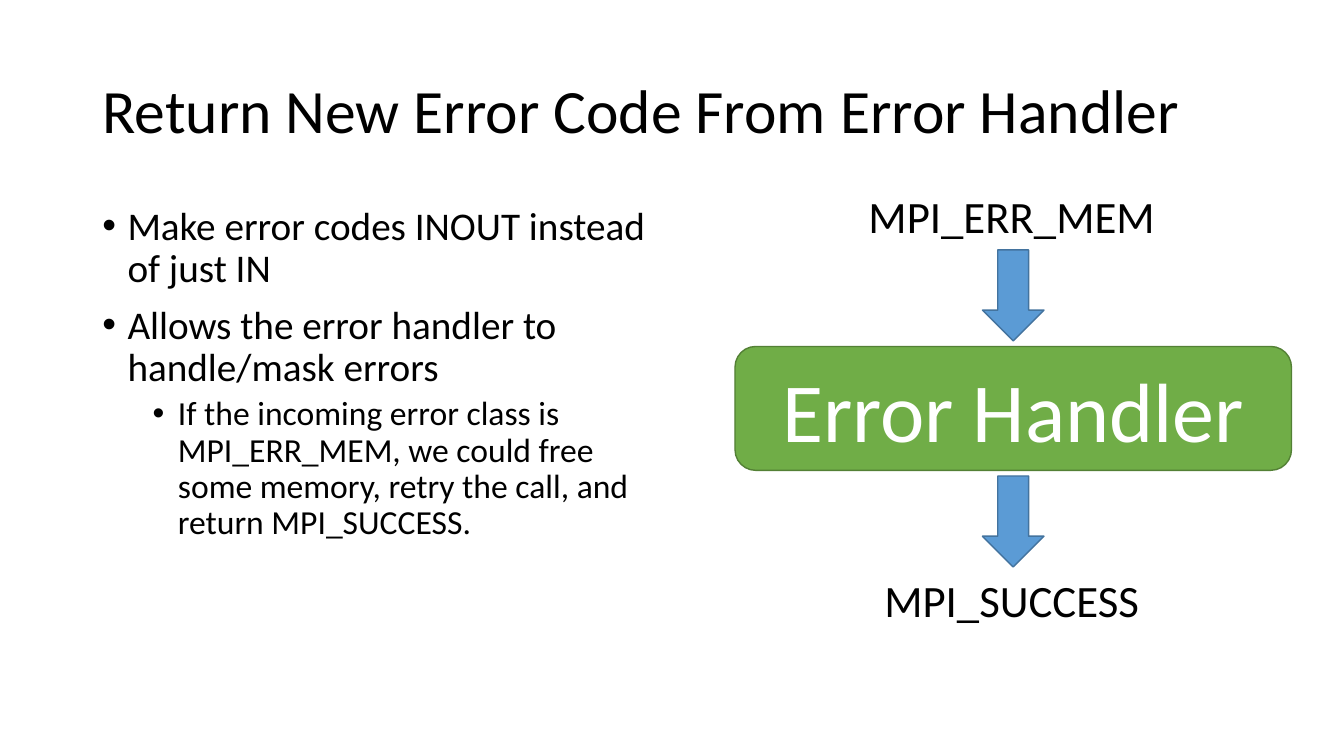
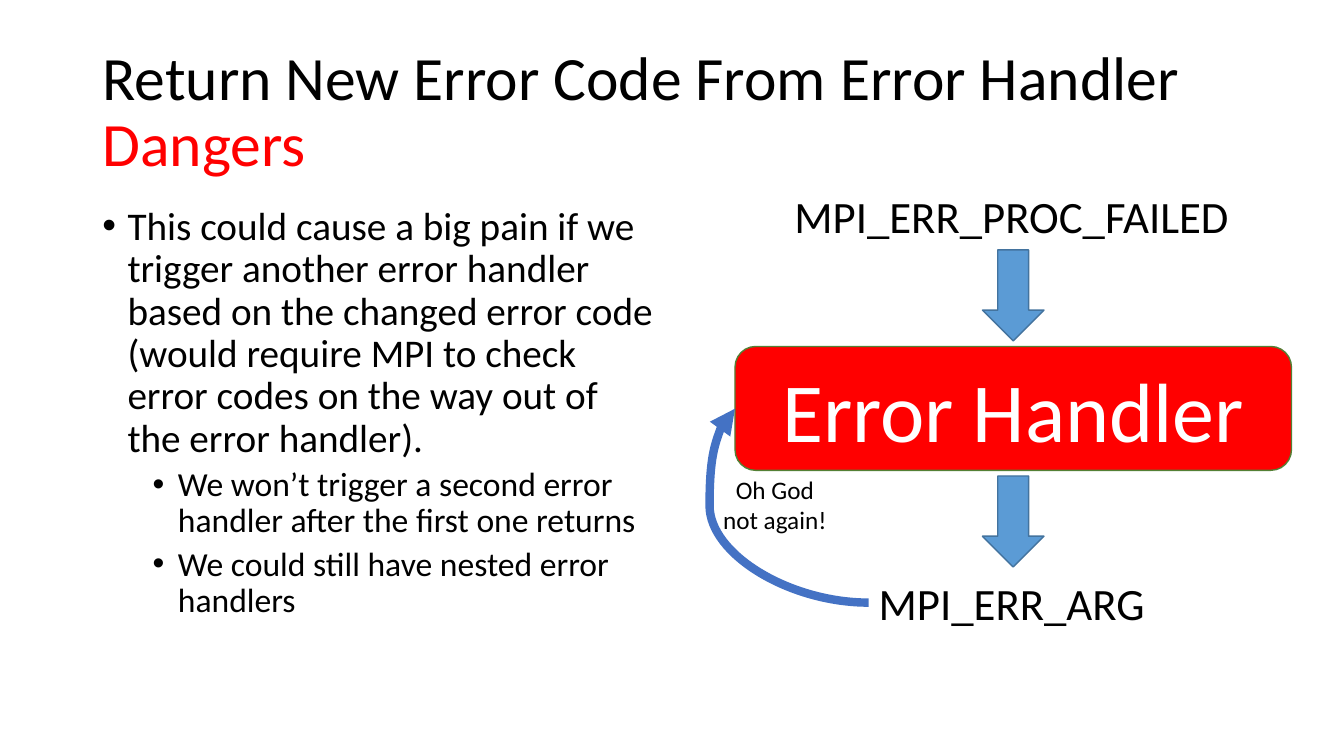
from dataclasses import dataclass

from lxml import etree
from pptx import Presentation
from pptx.dml.color import RGBColor
from pptx.enum.shapes import MSO_CONNECTOR, MSO_SHAPE
from pptx.enum.text import MSO_ANCHOR, PP_ALIGN
from pptx.oxml.ns import qn
from pptx.util import Pt

LEFT, CENTER = PP_ALIGN.LEFT, PP_ALIGN.CENTER
TOP, MIDDLE = MSO_ANCHOR.TOP, MSO_ANCHOR.MIDDLE
ROUNDED, DOWN_ARROW = MSO_SHAPE.ROUNDED_RECTANGLE, MSO_SHAPE.DOWN_ARROW
CURVE = MSO_CONNECTOR.CURVE
TITLE_ONLY = 5


@dataclass(frozen=True)
class Theme:
    font: str = "Calibri"
    text: RGBColor = RGBColor(0x00, 0x00, 0x00)
    white: RGBColor = RGBColor(0xFF, 0xFF, 0xFF)
    danger: RGBColor = RGBColor(0xFF, 0x00, 0x00)
    handler: RGBColor = RGBColor(0x70, 0xAD, 0x47)
    handler_line: RGBColor = RGBColor(0x53, 0x80, 0x35)
    arrow: RGBColor = RGBColor(0x5B, 0x9B, 0xD5)
    arrow_line: RGBColor = RGBColor(0x43, 0x73, 0x9E)
    loop: RGBColor = RGBColor(0x44, 0x72, 0xC4)
    title_size: int = 44
    bullet_sizes: tuple = (28, 24)
    bullet_gaps: tuple = (10, 5)
    bullet_indents: tuple = (18, 54)
    handler_size: int = 60
    label_size: int = 32
    remark_size: int = 18


THEME = Theme()

# Shared layout, in points
MARGIN = 66
HANDLER_LEFT, HANDLER_TOP, HANDLER_WIDTH, HANDLER_HEIGHT = 525, 247.5, 397.5, 88.5
FLOW_CENTER = HANDLER_LEFT + HANDLER_WIDTH / 2
ARROW_WIDTH, ARROW_HEIGHT, ARROW_GAP = 44, 65, 4
LABEL_WIDTH, LABEL_HEIGHT = 340, 46


def format_paragraph(paragraph, size, color=THEME.text, align=LEFT):
    paragraph.alignment = align
    font = paragraph.font
    font.name, font.size = THEME.font, Pt(size)
    font.color.rgb = color


def add_title(slide, text, warning=None):
    title = slide.shapes.title
    title.left, title.top = Pt(MARGIN), Pt(28.75)
    title.width, title.height = Pt(828), Pt(104.4)
    title.text_frame.vertical_anchor = MIDDLE
    paragraph = title.text_frame.paragraphs[0]
    paragraph.line_spacing = 0.9
    paragraph.add_run().text = text
    if warning:
        paragraph.add_line_break()
        run = paragraph.add_run()
        run.text = warning
        run.font.color.rgb = THEME.danger
    format_paragraph(paragraph, THEME.title_size)


def add_text(slide, left, top, width, height, lines, size, align=CENTER):
    frame = slide.shapes.add_textbox(Pt(left), Pt(top), Pt(width), Pt(height)).text_frame
    frame.word_wrap = True
    frame.vertical_anchor = TOP
    frame.text = "\n".join(lines)
    for paragraph in frame.paragraphs:
        format_paragraph(paragraph, size, align=align)


def add_bullets(slide, items):
    """Each item is a pair of outline level and text."""
    frame = slide.shapes.add_textbox(Pt(MARGIN), Pt(144), Pt(408), Pt(342.5)).text_frame
    frame.word_wrap = True
    for index, (level, text) in enumerate(items):
        paragraph = frame.add_paragraph() if index else frame.paragraphs[0]
        paragraph.text = text
        paragraph.level = level
        paragraph.line_spacing = 0.9
        paragraph.space_before = Pt(THEME.bullet_gaps[level] if index else 0)
        properties = paragraph._p.get_or_add_pPr()
        properties.set("marL", str(Pt(THEME.bullet_indents[level])))
        properties.set("indent", str(Pt(-18)))
        etree.SubElement(properties, qn("a:buFont"), typeface="Arial")
        etree.SubElement(properties, qn("a:buChar"), char="•")
        format_paragraph(paragraph, THEME.bullet_sizes[level])


def add_block(slide, preset, left, top, width, height, fill, line):
    shape = slide.shapes.add_shape(preset, Pt(left), Pt(top), Pt(width), Pt(height))
    shape.shadow.inherit = False
    shape.fill.solid()
    shape.fill.fore_color.rgb = fill
    shape.line.color.rgb = line
    shape.line.width = Pt(1)
    return shape


def add_flow(slide, incoming, outgoing, handler_color, outgoing_top):
    """Draw an error code passing through the handler, from top to bottom."""
    handler = add_block(slide, ROUNDED, HANDLER_LEFT, HANDLER_TOP, HANDLER_WIDTH,
                        HANDLER_HEIGHT, handler_color, THEME.handler_line)
    handler.text_frame.vertical_anchor = MIDDLE
    handler.text_frame.text = "Error Handler"
    format_paragraph(handler.text_frame.paragraphs[0], THEME.handler_size, THEME.white, CENTER)

    for top in (HANDLER_TOP - ARROW_GAP - ARROW_HEIGHT,
                HANDLER_TOP + HANDLER_HEIGHT + ARROW_GAP):
        add_block(slide, DOWN_ARROW, FLOW_CENTER - ARROW_WIDTH / 2, top,
                  ARROW_WIDTH, ARROW_HEIGHT, THEME.arrow, THEME.arrow_line)

    for text, top in ((incoming, 131), (outgoing, outgoing_top)):
        add_text(slide, FLOW_CENTER - 1 - LABEL_WIDTH / 2, top, LABEL_WIDTH,
                 LABEL_HEIGHT, [text], THEME.label_size)


def add_loop_arrow(slide, begin_x, begin_y, end_x, end_y, bulge):
    """Draw a curved arrow; bulge is the bend's place as a share of its width."""
    connector = slide.shapes.add_connector(CURVE, Pt(begin_x), Pt(begin_y), Pt(end_x), Pt(end_y))
    connector.line.color.rgb = THEME.loop
    connector.line.width = Pt(6)
    properties = connector._element.spPr
    guides = properties.find(qn("a:prstGeom")).get_or_add_avLst()
    etree.SubElement(guides, qn("a:gd"), name="adj1", fmla=f"val {round(bulge * 100000)}")
    etree.SubElement(connector.line._get_or_add_ln(), qn("a:tailEnd"), type="triangle")
    etree.SubElement(properties, qn("a:effectLst"))


def add_proposal_slide(presentation):
    slide = presentation.slides.add_slide(presentation.slide_layouts[TITLE_ONLY])
    add_title(slide, "Return New Error Code From Error Handler")
    add_bullets(slide, [
        (0, "Make error codes INOUT instead of just IN"),
        (0, "Allows the error handler to handle/mask errors"),
        (1, "If the incoming error class is MPI_ERR_MEM, we could free some memory, "
            "retry the call, and return MPI_SUCCESS."),
    ])
    add_flow(slide, "MPI_ERR_MEM", "MPI_SUCCESS", THEME.handler, 405.5)


def add_dangers_slide(presentation):
    slide = presentation.slides.add_slide(presentation.slide_layouts[TITLE_ONLY])
    add_title(slide, "Return New Error Code From Error Handler", "Dangers")
    add_bullets(slide, [
        (0, "This could cause a big pain if we trigger another error handler based on the "
            "changed error code (would require MPI to check error codes on the way out of "
            "the error handler)."),
        (1, "We won’t trigger a second error handler after the first one returns"),
        (1, "We could still have nested error handlers"),
    ])
    add_flow(slide, "MPI_ERR_PROC_FAILED", "MPI_ERR_ARG", THEME.danger, 407.5)
    add_loop_arrow(slide, 620.5, 430.5, HANDLER_LEFT, 292, 1.19)
    add_text(slide, 505, 335, 97, 51, ["Oh God", "not again!"], THEME.remark_size)


def main():
    presentation = Presentation()
    presentation.slide_width, presentation.slide_height = Pt(960), Pt(540)
    add_proposal_slide(presentation)
    add_dangers_slide(presentation)
    presentation.save("out.pptx")


if __name__ == "__main__":
    main()
